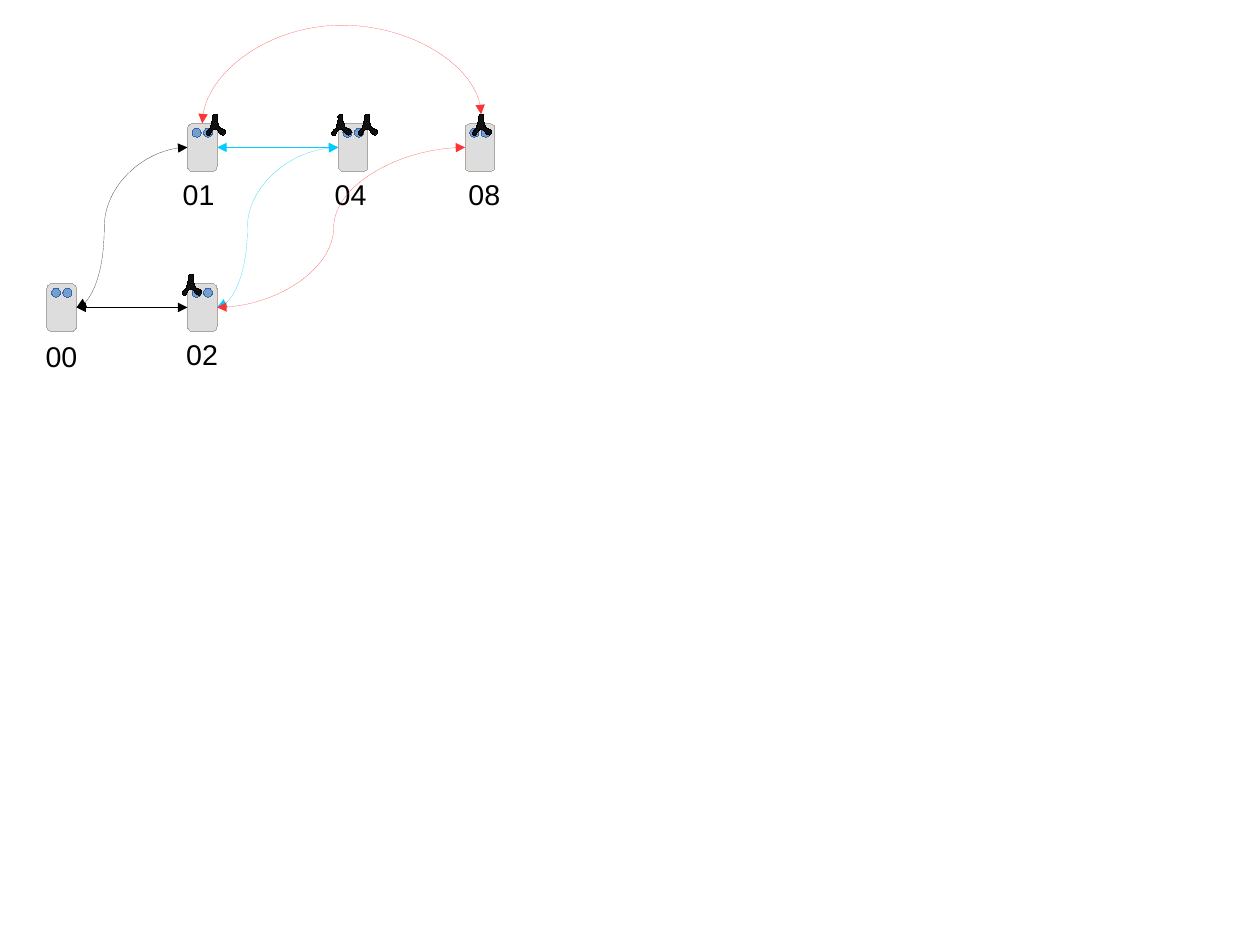
import pptx
import pptx.util
import pptx.dml.color
import pptx.enum.shapes
import pptx.enum.text
import pptx.oxml

Inches = pptx.util.Inches
Pt = pptx.util.Pt
Cm = pptx.util.Cm
RGBColor = pptx.dml.color.RGBColor
MSO_SHAPE = pptx.enum.shapes.MSO_SHAPE
MSO_CONNECTOR = pptx.enum.shapes.MSO_CONNECTOR

BLACK = RGBColor(0x00, 0x00, 0x00)
CYAN = RGBColor(0x00, 0xCC, 0xFF)
RED = RGBColor(0xFF, 0x33, 0x33)
BODY_FILL = RGBColor(0xDD, 0xDD, 0xDD)
BODY_EDGE = RGBColor(0xAE, 0xA7, 0x9F)
PORT_FILL = RGBColor(0x72, 0x9F, 0xCF)
PORT_EDGE = RGBColor(0x34, 0x65, 0xA4)
ANTENNA_FILL = RGBColor(0x11, 0x11, 0x11)

HAIRLINE = Pt(0.01)
BODY_W, BODY_H = 0.26, 0.42
PORT_SIZE = 0.08
PORT_OFFSETS = (0.04, 0.14)
TOP_ROW, BOTTOM_ROW = 1.08, 2.48
LEFT, RIGHT = 1, 3

NODES = {
    "00": {"at": (0.41, BOTTOM_ROW), "label": (0.3, 2.92), "antennas": ()},
    "02": {"at": (1.64, BOTTOM_ROW), "label": (1.53, 2.9), "antennas": (1.59,)},
    "01": {"at": (1.64, TOP_ROW), "label": (1.5, 1.5), "antennas": (1.8,)},
    "04": {"at": (2.96, TOP_ROW), "label": (2.83, 1.5), "antennas": (3.13, 2.9)},
    "08": {"at": (4.07, TOP_ROW), "label": (4, 1.5), "antennas": (4.13,)},
}
STRAIGHT_LINKS = [("00", "02", BLACK), ("01", "04", CYAN)]
CURVED_LINKS = [
    ("00", "01", BLACK, 0.25),
    ("02", "04", CYAN, 0.25),
    ("02", "08", RED, 0.47),
]
ARC_START, ARC_END, ARC_PEAK = (1.77, 1.08), (4.21, 1.0), 0.22

ANTENNA_RISE = 0.08
ANTENNA_START = (0.08, 0)
ANTENNA_CURVES = [
    ((0.06, 0), (0.05, 0.02), (0.06, 0.03)),
    ((0.06, 0.05), (0.05, 0.06), (0.05, 0.08)),
    ((0.05, 0.09), (0.04, 0.1), (0.04, 0.12)),
    ((0.03, 0.13), (0.02, 0.13), (0.01, 0.15)),
    ((0, 0.16), (0, 0.17), (0.01, 0.18)),
    ((0.03, 0.19), (0.04, 0.18), (0.04, 0.17)),
    ((0.05, 0.15), (0.06, 0.13), (0.08, 0.13)),
    ((0.09, 0.13), (0.11, 0.14), (0.11, 0.15)),
    ((0.12, 0.16), (0.13, 0.18), (0.14, 0.18)),
    ((0.16, 0.19), (0.18, 0.16), (0.17, 0.14)),
    ((0.16, 0.13), (0.14, 0.13), (0.13, 0.12)),
    ((0.12, 0.11), (0.11, 0.1), (0.11, 0.08)),
    ((0.1, 0.07), (0.1, 0.05), (0.1, 0.03)),
]
ANTENNA_TIP = [(0.1, 0.02), (0.1, 0), (0.09, 0)]
CURVE_STEPS = 5


def paint(part, fill, edge):
    part.shadow.inherit = False
    part.fill.solid()
    part.fill.fore_color.rgb = fill
    part.line.color.rgb = edge
    part.line.width = HAIRLINE


def add_node(slide, left, top):
    node = slide.shapes.add_group_shape()
    body = node.shapes.add_shape(
        MSO_SHAPE.ROUNDED_RECTANGLE,
        Inches(left), Inches(top), Inches(BODY_W), Inches(BODY_H))
    body.adjustments[0] = 0.17
    paint(body, BODY_FILL, BODY_EDGE)
    for offset in PORT_OFFSETS:
        port = node.shapes.add_shape(
            MSO_SHAPE.OVAL, Inches(left + offset), Inches(top + 0.04),
            Inches(PORT_SIZE), Inches(PORT_SIZE))
        paint(port, PORT_FILL, PORT_EDGE)
    return body


def antenna_outline():
    points = [ANTENNA_START]
    for first, second, end in ANTENNA_CURVES:
        start = points[-1]
        for step in range(1, CURVE_STEPS + 1):
            t = step / CURVE_STEPS
            u = 1 - t
            points.append(tuple(
                u**3 * a + 3 * u * u * t * b + 3 * u * t * t * c + t**3 * d
                for a, b, c, d in zip(start, first, second, end)))
    return points + ANTENNA_TIP


def add_antenna(slide, left, top):
    points = [(Inches(left + x), Inches(top + y)) for x, y in antenna_outline()]
    builder = slide.shapes.build_freeform(*points[0])
    builder.add_line_segments(points[1:], close=True)
    paint(builder.convert_to_shape(), ANTENNA_FILL, BLACK)


def add_label(slide, text, left, top):
    label = slide.shapes.add_textbox(
        Inches(left), Inches(top), Inches(0.48), Inches(0.58))
    frame = label.text_frame
    frame.word_wrap = False
    frame.auto_size = pptx.enum.text.MSO_AUTO_SIZE.SHAPE_TO_FIT_TEXT
    frame.text = text
    font = frame.paragraphs[0].font
    font.name = "Arial"
    font.size = Pt(18)
    font.color.rgb = BLACK


def add_link(slide, kind, start, end, color, bend=None):
    link = slide.shapes.add_connector(
        kind, *(Inches(value) for value in (*start, *end)))
    link.line.color.rgb = color
    link.line.width = HAIRLINE
    properties = link._element.spPr
    outline = link.line._get_or_add_ln()
    for tag in ("a:headEnd", "a:tailEnd"):
        arrow = pptx.oxml.xmlchemy.OxmlElement(tag)
        arrow.set("type", "triangle")
        outline.append(arrow)
    properties.append(pptx.oxml.xmlchemy.OxmlElement("a:effectLst"))
    if bend is not None:
        guide = pptx.oxml.xmlchemy.OxmlElement("a:gd")
        guide.set("name", "adj1")
        guide.set("fmla", f"val {round(bend * 100000)}")
        properties.prstGeom.get_or_add_avLst().append(guide)
    return link


def side_point(name, side):
    left, top = NODES[name]["at"]
    return left + (BODY_W if side == RIGHT else 0), top + BODY_H / 2


def add_arc(slide):
    (x1, y1), (x2, y2) = ARC_START, ARC_END
    center_x, center_y = (x1 + x2) / 2, (y1 + y2) / 2
    half_w, half_h = (y1 - y2) / 2, (x2 - x1) / 2
    arc = add_link(
        slide, MSO_CONNECTOR.CURVE,
        (center_x + half_w, center_y + half_h),
        (center_x - half_w, center_y - half_h),
        RED, (y1 - ARC_PEAK) / (y1 - y2))
    arc._element.spPr.xfrm.set("rot", str(90 * 60000))


def main():
    presentation = pptx.Presentation()
    presentation.slide_width = Cm(28)
    presentation.slide_height = Cm(21)
    slide = presentation.slides.add_slide(presentation.slide_layouts[6])

    bodies = {name: add_node(slide, *node["at"]) for name, node in NODES.items()}
    for name, node in NODES.items():
        for left in node["antennas"]:
            add_antenna(slide, left, node["at"][1] - ANTENNA_RISE)
        add_label(slide, name, *node["label"])

    for source, target, color in STRAIGHT_LINKS:
        link = add_link(slide, MSO_CONNECTOR.STRAIGHT,
                        side_point(source, RIGHT), side_point(target, LEFT), color)
        link.begin_connect(bodies[source], RIGHT)
        link.end_connect(bodies[target], LEFT)
    for source, target, color, bend in CURVED_LINKS:
        add_link(slide, MSO_CONNECTOR.CURVE,
                 side_point(source, RIGHT), side_point(target, LEFT), color, bend)
    add_arc(slide)

    presentation.save("out.pptx")


if __name__ == "__main__":
    main()
